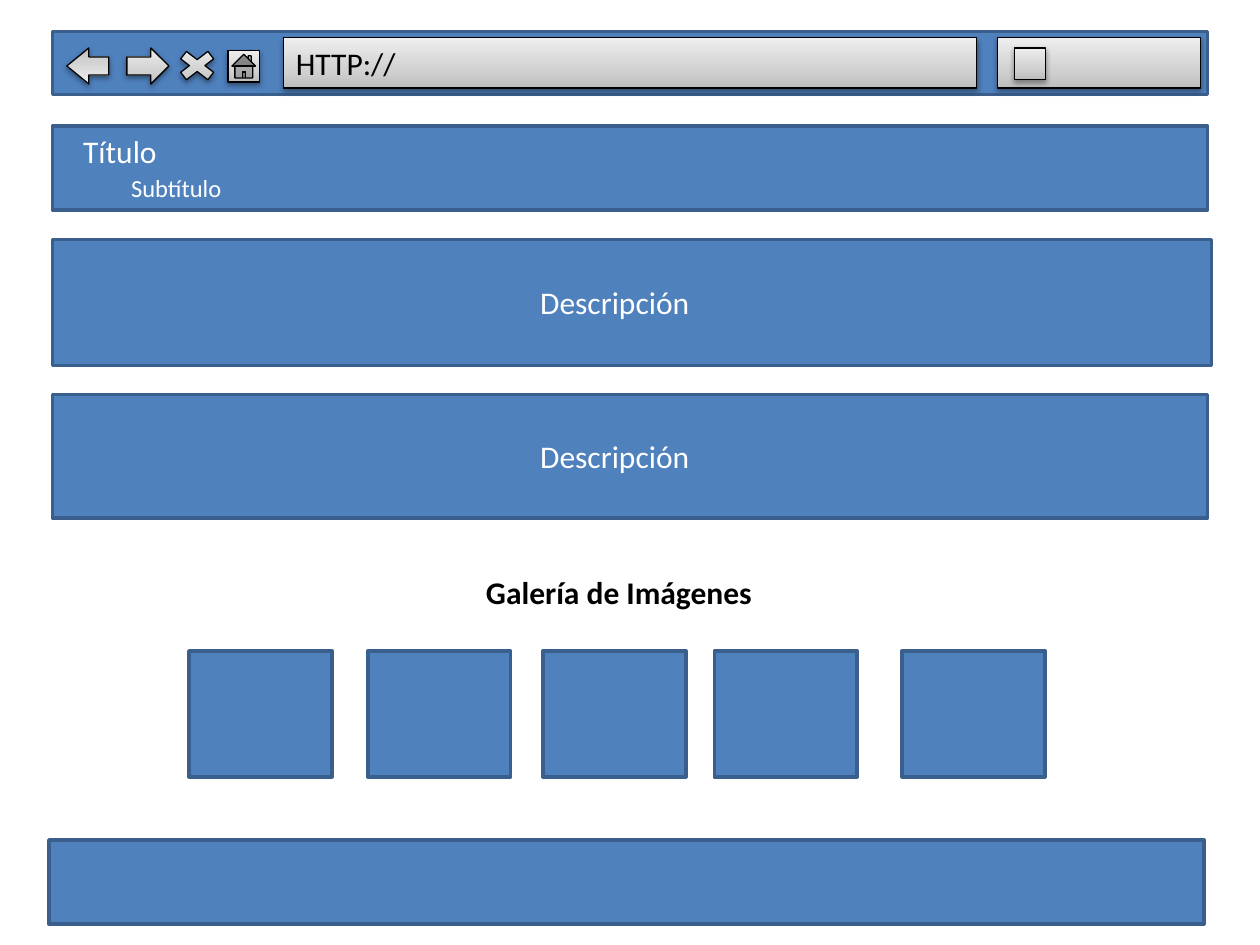
from copy import deepcopy

from lxml import etree
from pptx import Presentation
from pptx.dml.color import RGBColor
from pptx.enum import shapes as sh, text as tx
from pptx.oxml import ns
from pptx.util import Pt

BLUE = RGBColor(0x4F, 0x81, 0xBD)
NAVY = RGBColor(0x3A, 0x5F, 0x8C)
BLACK = RGBColor(0, 0, 0)
WHITE = RGBColor(255, 255, 255)
GREYS = [
    (0, RGBColor(0xBD, 0xBD, 0xBD)),
    (0.35, RGBColor(0xD1, 0xD1, 0xD1)),
    (1, RGBColor(0xEE, 0xEE, 0xEE)),
]
KIND = sh.MSO_SHAPE
LEFT, CENTER = tx.PP_ALIGN.LEFT, tx.PP_ALIGN.CENTER
TOP, MIDDLE = tx.MSO_ANCHOR.TOP, tx.MSO_ANCHOR.MIDDLE


def write(box, words, size=18, color=WHITE, bold=False, align=LEFT, anchor=TOP):
    frame = box.text_frame
    frame.word_wrap = True
    frame.auto_size = tx.MSO_AUTO_SIZE.NONE
    frame.vertical_anchor = anchor
    para = frame.paragraphs[0]
    para.alignment = align
    para.space_before = Pt(0)
    run = para.add_run()
    run.text = words
    font = run.font
    font.name, font.size, font.bold = "Calibri", Pt(size), bold
    font.color.rgb = color


def shape(slide, kind, at, line, width):
    item = slide.shapes.add_shape(kind, *map(Pt, at))
    item.shadow.inherit = False
    item.line.color.rgb = line
    item.line.width = Pt(width)
    return item


def panel(slide, *at):
    item = shape(slide, KIND.RECTANGLE, at, NAVY, 2)
    item.fill.solid()
    item.fill.fore_color.rgb = BLUE


def shade(item):
    glow = item.element.spPr.find(ns.qn("a:effectLst"))
    drop = etree.SubElement(
        glow, ns.qn("a:outerShdw"), blurRad=str(Pt(3.1)), dist=str(Pt(1.6)),
        dir="5400000", rotWithShape="0")
    color = etree.SubElement(drop, ns.qn("a:srgbClr"), val=str(BLACK))
    etree.SubElement(color, ns.qn("a:alpha"), val="38000")


def button(slide, kind, *at):
    item = shape(slide, kind, at, BLACK, 0.75)
    item.fill.gradient()
    item.fill.gradient_angle = 90
    stops = item.element.spPr.find(".//" + ns.qn("a:gsLst"))
    stops.insert(1, deepcopy(stops[0]))
    for stop, (place, color) in zip(item.fill.gradient_stops, GREYS):
        stop.position = place
        stop.color.rgb = color
    shade(item)
    return item


def label(slide, at, words, **style):
    write(slide.shapes.add_textbox(*map(Pt, at)), words, **style)


def holder(box, at, words, **style):
    box.left, box.top, box.width, box.height = map(Pt, at)
    write(box, words, **style)
    box.element.getparent().append(box.element)


def browser(slide):
    panel(slide, 30, 18, 660, 36)
    field = button(slide, KIND.RECTANGLE, 162, 21.6, 396, 28.8)
    write(field, "HTTP://", color=BLACK, anchor=MIDDLE)
    button(slide, KIND.RIGHT_ARROW, 72.5, 27.4, 24, 20.6)
    back = button(slide, KIND.RIGHT_ARROW, 38.2, 27.4, 24, 20.6)
    back.rotation = 180
    back.adjustments[1] = 0.61
    button(slide, KIND.MATH_MULTIPLY, 97.7, 26, 30, 23)
    button(slide, KIND.ACTION_BUTTON_HOME, 130.3, 28.8, 18, 18)
    button(slide, KIND.RECTANGLE, 570, 21.6, 116, 28.8)
    button(slide, KIND.ACTION_BUTTON_CUSTOM, 579.6, 27.4, 18, 18)


def gallery(slide):
    label(slide, (192, 324, 323.5, 29), "Galería de Imágenes",
          color=BLACK, bold=True, align=CENTER)
    for left in (108, 210.2, 310.3, 408.2, 515.5):
        panel(slide, left, 372, 81.6, 72)


def main():
    deck = Presentation()
    deck.slide_width, deck.slide_height = Pt(720), Pt(540)
    slide = deck.slides.add_slide(deck.slide_layouts[0])
    browser(slide)
    panel(slide, 30, 72, 660, 48)
    holder(slide.shapes.title, (40.3, 72, 89.3, 29), "Título")
    holder(slide.placeholders[1], (67.7, 95, 72, 24.5), "Subtítulo", size=14)
    for top, width, height, line in ((136.8, 662.4, 72, 158.4),
                                     (225.4, 660, 70.6, 246.2)):
        panel(slide, 30, top, width, height)
        label(slide, (264.2, line, 174.2, 29), "Descripción", align=CENTER)
    gallery(slide)
    panel(slide, 28, 480, 660, 48)
    deck.save("out.pptx")


main()
